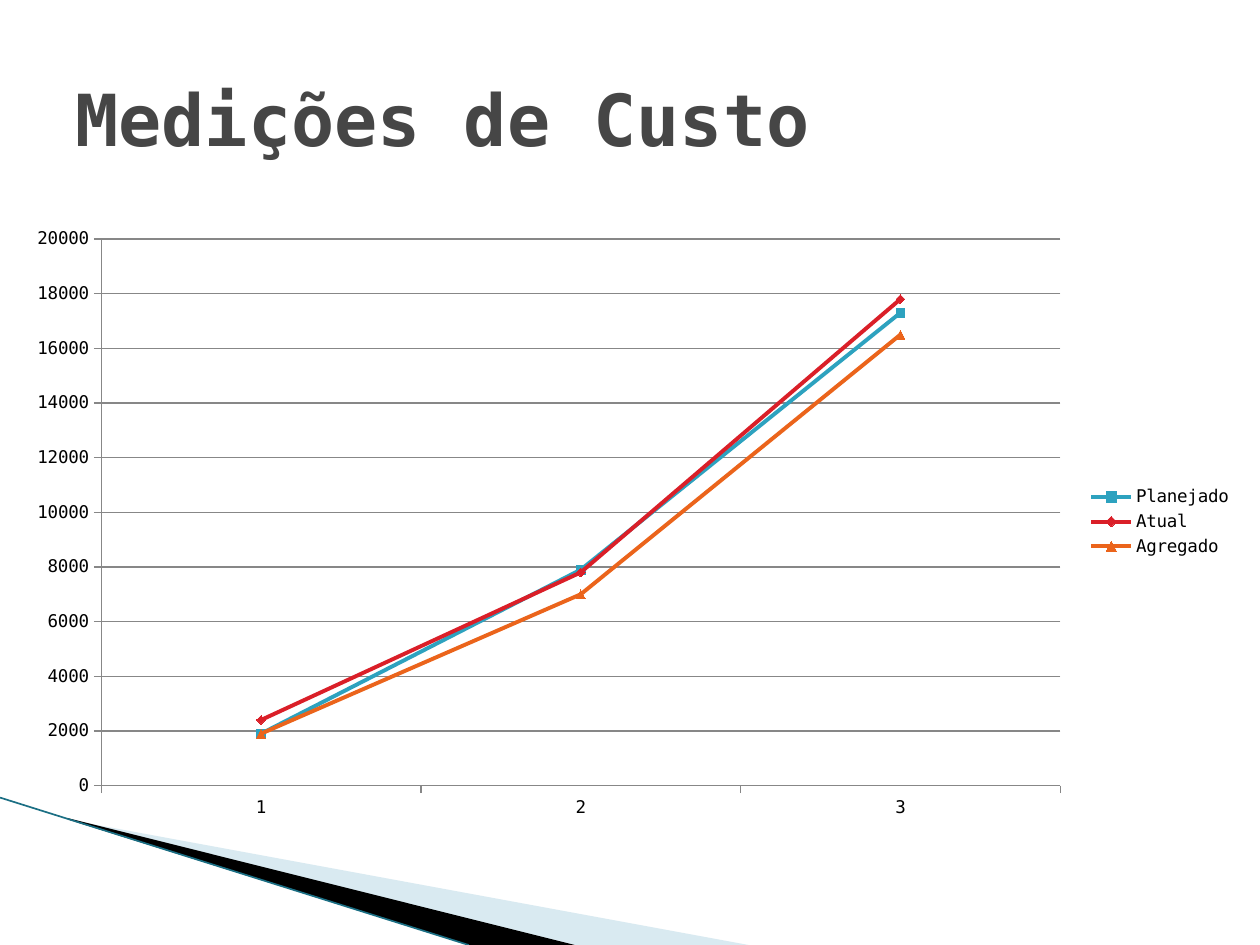
from lxml.etree import SubElement
from pptx import Presentation
from pptx.chart.data import CategoryChartData
from pptx.dml.color import RGBColor
from pptx.enum.chart import XL_CHART_TYPE, XL_LEGEND_POSITION, XL_MARKER_STYLE, XL_TICK_MARK
from pptx.enum.shapes import MSO_CONNECTOR
from pptx.enum.text import MSO_ANCHOR
from pptx.oxml import parse_xml
from pptx.oxml.ns import nsdecls, qn
from pptx.util import Inches, Pt

WIDTH, HEIGHT = 10, 7.5
FONT = "DejaVu Sans Mono"
COLORS = {
    "paper": "FFFFFF", "title": "464646", "text": "000000", "grid": "878787",
    "pale": "A0CBDC", "dark": "000000", "edge": "1B6F84",
    "planned": "2DA2BF", "actual": "DA1F28", "earned": "EB641B",
}
CATEGORIES = ["1", "2", "3"]
SERIES = [
    ("Planejado", (1900, 7900, 17300), "planned", XL_MARKER_STYLE.SQUARE),
    ("Atual", (2400, 7800, 17800), "actual", XL_MARKER_STYLE.DIAMOND),
    ("Agregado", (1900, 7000, 16500), "earned", XL_MARKER_STYLE.TRIANGLE),
]
# Boxes as shares of the slide: left, top, width, height
TITLE_BOX = (0.05, 0.04, 0.9, 0.17)
CHART_BOX = (0.012, 0.227, 0.976, 0.65)
CORNER_BOX = (0, 0.844, 0.6, 0.156)
# Plot area as shares of the chart
PLOT = {"x": 0.07, "y": 0.04, "w": 0.78, "h": 0.89}


def color(name):
    """Return a named colour."""
    return RGBColor.from_string(COLORS[name])


def place(box):
    """Turn shares of the slide into lengths."""
    left, top, width, height = box
    return (Inches(left * WIDTH), Inches(top * HEIGHT),
            Inches(width * WIDTH), Inches(height * HEIGHT))


def add_wedge(page, box, points, fill, opacity=1):
    """Draw a filled outline whose points are shares of the box."""
    left, top, width, height = place(box)
    corners = [(int(left + x * width), int(top + y * height)) for x, y in points]
    builder = page.shapes.build_freeform(*corners[0])
    builder.add_line_segments(corners[1:], close=True)
    wedge = builder.convert_to_shape()
    wedge.shadow.inherit = False
    wedge.fill.solid()
    wedge.fill.fore_color.rgb = color(fill)
    wedge.line.fill.background()
    if opacity < 1:
        tint = wedge.fill._xPr.find(qn("a:solidFill"))[0]
        SubElement(tint, qn("a:alpha"), val=str(int(opacity * 100000)))


def add_corner(page, box):
    """Draw the two wedges and the edge line in the lower left corner."""
    add_wedge(page, box, [(0.09, 0.15), (0.99, 1), (0.76, 1)], "pale", 0.4)
    add_wedge(page, box, [(0.09, 0.14), (0.76, 1), (0.62, 1), (0.09, 0.15)], "dark")
    left, top, width, height = place(box)
    edge = page.shapes.add_connector(
        MSO_CONNECTOR.STRAIGHT, left, top, int(left + 0.62 * width), top + height)
    edge.line.color.rgb = color("edge")
    edge.line.width = Pt(0.95)
    SubElement(edge._element.spPr, qn("a:effectLst"))


def add_title(page, box, words):
    """Write the slide title, centred vertically in the box."""
    frame = page.shapes.add_textbox(*place(box)).text_frame
    frame.word_wrap = True
    frame.vertical_anchor = MSO_ANCHOR.MIDDLE
    span = frame.paragraphs[0].add_run()
    span.text = words
    span.font.name = FONT
    span.font.size = Pt(41)
    span.font.bold = True
    span.font.color.rgb = color("title")


def fix_plot_area(chart):
    """Give the inner plot area a fixed place in the chart."""
    parts = "".join(f'<c:{side}Mode val="edge"/>' for side in "xy")
    parts += "".join(f'<c:{key} val="{share}"/>' for key, share in PLOT.items())
    layout = parse_xml(
        f'<c:layout {nsdecls("c")}><c:manualLayout><c:layoutTarget val="inner"/>'
        f"{parts}</c:manualLayout></c:layout>")
    plot_area = chart._chartSpace.chart.plotArea
    for old in plot_area.findall(qn("c:layout")):
        plot_area.remove(old)
    plot_area.insert(0, layout)


def style_axis(axis):
    """Set the line and the tick marks of an axis."""
    axis.format.line.color.rgb = color("grid")
    axis.format.line.width = Pt(0.75)
    axis.major_tick_mark = XL_TICK_MARK.OUTSIDE
    axis.minor_tick_mark = XL_TICK_MARK.NONE


def add_cost_chart(page, box):
    """Draw the cost measurements as lines with markers."""
    data = CategoryChartData()
    data.categories = CATEGORIES
    for name, values, *_ in SERIES:
        data.add_series(name, values)
    chart = page.shapes.add_chart(XL_CHART_TYPE.LINE_MARKERS, *place(box), data).chart
    chart.has_title = False
    chart.font.name = FONT
    chart.font.size = Pt(10)
    chart.font.color.rgb = color("text")
    chart.has_legend = True
    chart.legend.position = XL_LEGEND_POSITION.RIGHT
    chart.legend.include_in_layout = False
    fix_plot_area(chart)

    for axis in (chart.category_axis, chart.value_axis):
        style_axis(axis)
    value_axis = chart.value_axis
    value_axis.minimum_scale, value_axis.maximum_scale = 0, 20000
    value_axis.major_unit = 2000
    value_axis.has_major_gridlines = True
    value_axis.major_gridlines.format.line.color.rgb = color("grid")
    value_axis.major_gridlines.format.line.width = Pt(0.75)

    chart.plots[0].vary_by_categories = False
    for series, (_, _, tone, marker) in zip(chart.plots[0].series, SERIES):
        series.smooth = False
        series.format.line.color.rgb = color(tone)
        series.format.line.width = Pt(2.25)
        series.marker.style = marker
        series.marker.size = 5
        series.marker.format.fill.solid()
        series.marker.format.fill.fore_color.rgb = color(tone)
        series.marker.format.line.color.rgb = color(tone)


def build_deck():
    """Build the deck with its single slide."""
    deck = Presentation()
    deck.slide_width, deck.slide_height = Inches(WIDTH), Inches(HEIGHT)
    page = deck.slides.add_slide(deck.slide_layouts[6])
    page.background.fill.solid()
    page.background.fill.fore_color.rgb = color("paper")
    add_corner(page, CORNER_BOX)
    add_title(page, TITLE_BOX, "Medições de Custo")
    add_cost_chart(page, CHART_BOX)
    deck.save("out.pptx")


build_deck()
